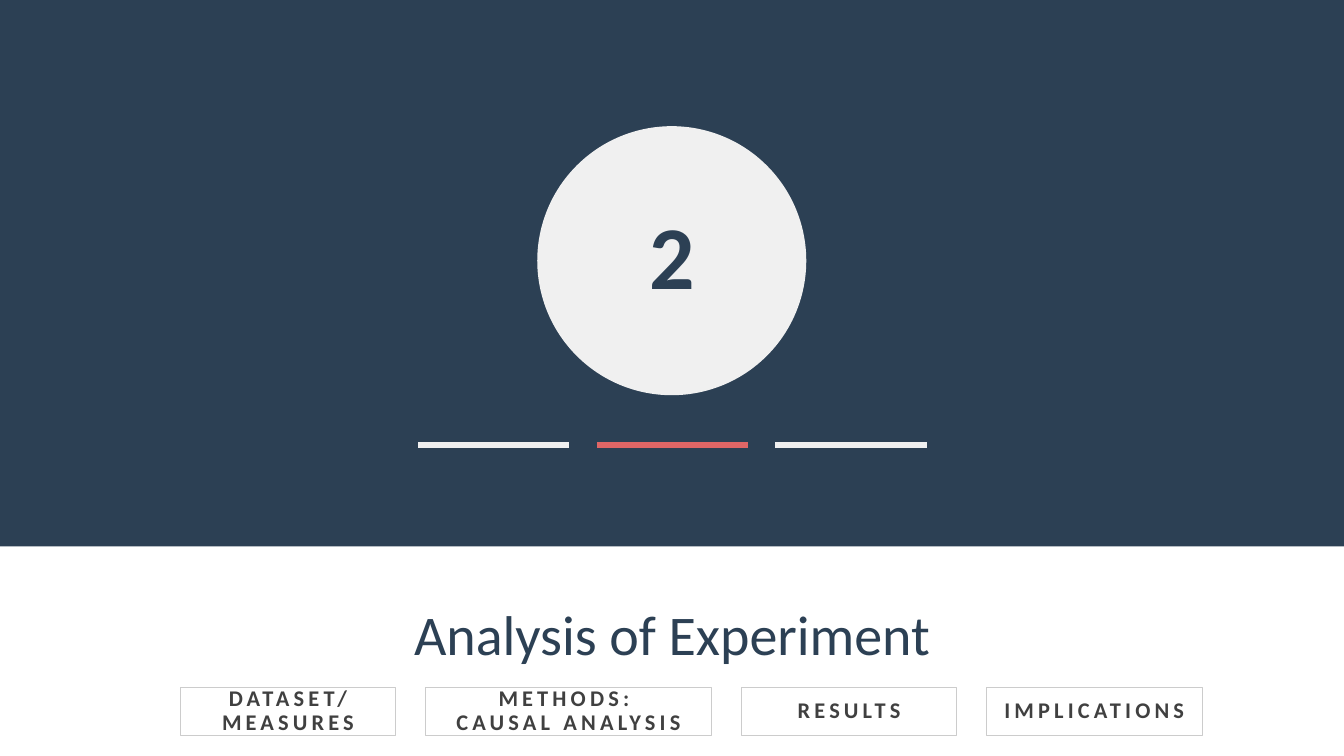
from lxml import etree
from pptx import Presentation
from pptx.dml.color import RGBColor
from pptx.enum.shapes import MSO_CONNECTOR, MSO_SHAPE
from pptx.enum.text import MSO_ANCHOR, PP_ALIGN
from pptx.oxml.ns import qn
from pptx.util import Cm, Pt

RECTANGLE = MSO_SHAPE.RECTANGLE
ELLIPSE = MSO_SHAPE.OVAL
STRAIGHT = MSO_CONNECTOR.STRAIGHT
CENTER = PP_ALIGN.CENTER
MIDDLE = MSO_ANCHOR.MIDDLE

COLORS = {
    "navy": "2C4054",
    "light": "F0F0F0",
    "accent": "E06666",
    "white": "FFFFFF",
    "border": "CCCCCC",
    "label": "404040",
}
SLIDE_WIDTH, SLIDE_HEIGHT = 33.87, 19.05


class SectionSlide:
    font_name = "Calibri"

    def __init__(self, presentation):
        self.slide = presentation.slides.add_slide(presentation.slide_layouts[6])

    def color(self, name):
        return RGBColor.from_string(COLORS[name])

    def shape(self, kind, left, top, width, height, fill, line=None):
        shape = self.slide.shapes.add_shape(kind, Cm(left), Cm(top), Cm(width), Cm(height))
        shape.shadow.inherit = False
        shape.fill.solid()
        shape.fill.fore_color.rgb = self.color(fill)
        if line:
            shape.line.color.rgb = self.color(line)
            shape.line.width = Pt(0.5)
        else:
            shape.line.fill.background()
        return shape

    def text_box(self, left, top, width, height):
        return self.slide.shapes.add_textbox(Cm(left), Cm(top), Cm(width), Cm(height))

    def set_text(self, shape, lines, size, color, bold=False, spacing=0, inset=0.13):
        frame = shape.text_frame
        frame.word_wrap = True
        frame.vertical_anchor = MIDDLE
        frame.margin_left = frame.margin_right = Cm(0.25)
        frame.margin_top = frame.margin_bottom = Cm(inset)
        frame.text = "\n".join(lines)
        for paragraph in frame.paragraphs:
            paragraph.alignment = CENTER
            paragraph.line_spacing = 0.9
            paragraph.font.name = self.font_name
            paragraph.font.size = Pt(size)
            paragraph.font.bold = bold
            paragraph.font.color.rgb = self.color(color)
            if spacing:
                for run in paragraph.runs:
                    run._r.get_or_add_rPr().set("spc", str(spacing * 100))

    def progress_bars(self, left, top, length, pitch, colors):
        group = self.slide.shapes.add_group_shape()
        for index, color in enumerate(colors):
            start = left + index * pitch
            bar = group.shapes.add_connector(
                STRAIGHT, Cm(start), Cm(top), Cm(start + length), Cm(top))
            bar.line.color.rgb = self.color(color)
            bar.line.width = Pt(4.5)
            etree.SubElement(bar._element.spPr, qn("a:effectLst"))

    def topics(self, left, top, height, gap, topics):
        for width, lines in topics:
            box = self.shape(RECTANGLE, left, top, width, height, "white", "border")
            self.set_text(box, lines, 16, "label", bold=True, spacing=3, inset=0.25)
            left += width + gap


def main():
    presentation = Presentation()
    presentation.slide_width = Cm(SLIDE_WIDTH)
    presentation.slide_height = Cm(SLIDE_HEIGHT)
    section = SectionSlide(presentation)

    section.shape(RECTANGLE, 0, 0, SLIDE_WIDTH, 13.77, "navy")
    circle = section.shape(ELLIPSE, 13.54, 3.18, 6.78, 6.78, "light")
    section.set_text(circle, ["2"], 64, "navy", bold=True)
    title = section.text_box(0.74, 14.4, 32.39, 3.3)
    section.set_text(title, ["Analysis of Experiment"], 40, "navy")
    section.progress_bars(10.54, 11.22, 3.81, 4.5, ["light", "accent", "light"])
    section.topics(4.55, 17.32, 1.2, 0.76, [
        (5.42, ["DATASET/", "MEASURES"]),
        (7.2, ["METHODS: ", "CAUSAL ANALYSIS"]),
        (5.42, ["RESULTS"]),
        (5.42, ["IMPLICATIONS"]),
    ])
    presentation.save("out.pptx")


if __name__ == "__main__":
    main()
